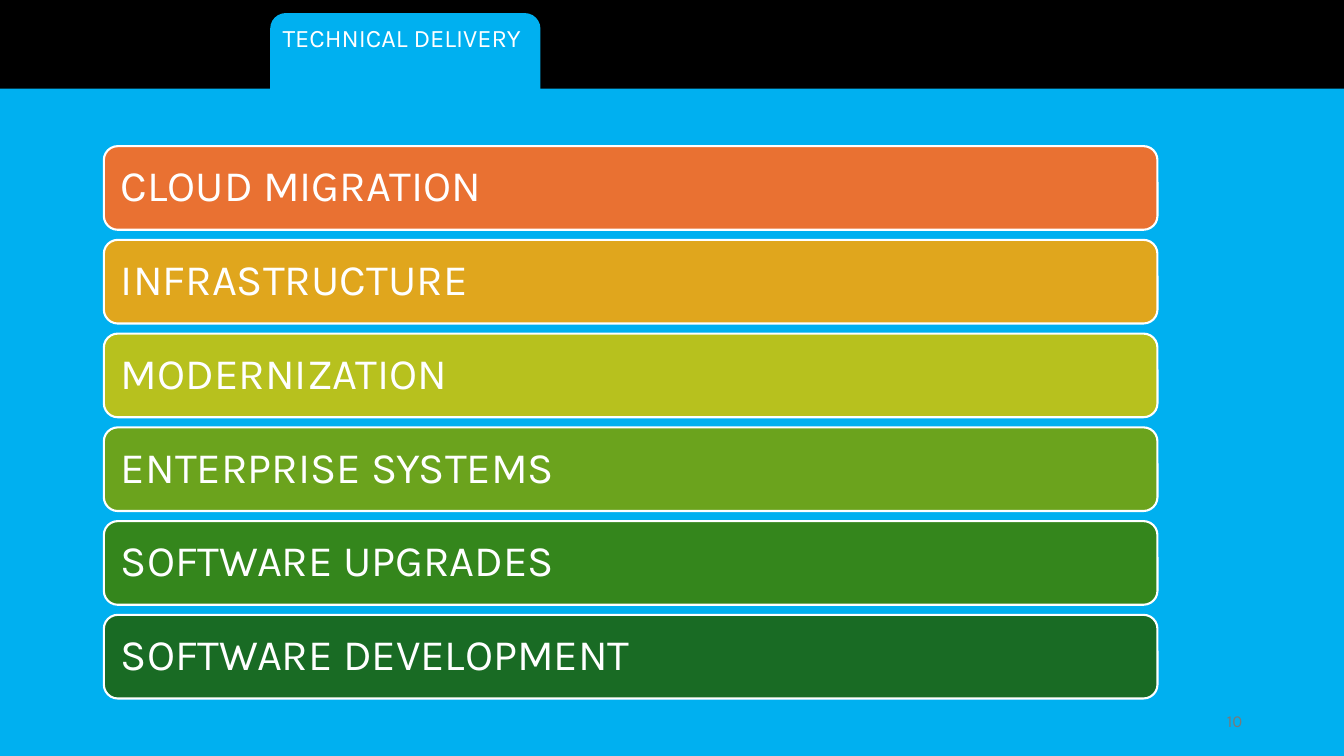
"""Build the technical delivery slide with its tab and six service bars."""
import dataclasses
import typing

import pptx
import pptx.dml.color
import pptx.enum.shapes
import pptx.enum.text
import pptx.util

PX = 9144
SHAPE = pptx.enum.shapes.MSO_SHAPE
ALIGN = pptx.enum.text.PP_ALIGN
ANCHOR = pptx.enum.text.MSO_ANCHOR


@dataclasses.dataclass(frozen=True)
class Theme:
    font: str = "Karla"
    background: str = "000000"
    panel: str = "00B0F0"
    light: str = "FFFFFF"
    muted: str = "797979"
    title_size: int = 18
    bar_size: int = 31
    number_size: int = 12
    outline: float = 1.5


class Box(typing.NamedTuple):
    left: int
    top: int
    width: int
    height: int

    def emu(self) -> list[int]:
        return [v * PX for v in self]


class Bar(typing.NamedTuple):
    label: str
    color: str


THEME = Theme()
TAB = Box(268, 13, 268, 92)
PANEL = Box(0, 88, 1333, 662)
TITLE = Box(268, 17, 261, 71)
NUMBER = Box(942, 695, 300, 40)
FIRST_BAR = Box(103, 145, 1045, 83)
BAR_STEP = 93
BAR_INSET = 13
BARS = [
    Bar("CLOUD MIGRATION", "E97132"),
    Bar("INFRASTRUCTURE", "E0A61D"),
    Bar("MODERNIZATION", "B7C11E"),
    Bar("ENTERPRISE SYSTEMS", "6BA31D"),
    Bar("SOFTWARE UPGRADES", "34861C"),
    Bar("SOFTWARE DEVELOPMENT", "196B24"),
]


def rgb(color: str) -> pptx.dml.color.RGBColor:
    return pptx.dml.color.RGBColor.from_string(color)


def write(sp, text: str, *, size: int, color: str = THEME.light, align=ALIGN.LEFT,
          anchor=ANCHOR.MIDDLE, inset: tuple[int, int] = (10, 5), spacing: float = 1.0) -> None:
    tf = sp.text_frame
    tf.word_wrap = True
    tf.auto_size = pptx.enum.text.MSO_AUTO_SIZE.NONE
    tf.vertical_anchor = anchor
    tf.margin_left = tf.margin_right = inset[0] * PX
    tf.margin_top = tf.margin_bottom = inset[1] * PX
    p = tf.paragraphs[0]
    p.alignment = align
    p.line_spacing = spacing
    r = p.add_run()
    r.text = text
    r.font.name = THEME.font
    r.font.size = pptx.util.Pt(size)
    r.font.color.rgb = rgb(color)


def add_block(s, kind, box: Box, color: str, outline: str | None = None):
    sp = s.shapes.add_shape(kind, *box.emu())
    sp.shadow.inherit = False
    sp.fill.solid()
    sp.fill.fore_color.rgb = rgb(color)
    if outline:
        sp.line.color.rgb = rgb(outline)
        sp.line.width = pptx.util.Pt(THEME.outline)
    else:
        sp.line.fill.background()
    return sp


def add_title(s, text: str, box: Box) -> None:
    sp = s.shapes.title
    sp.left, sp.top, sp.width, sp.height = box.emu()
    write(sp, text, size=THEME.title_size, align=ALIGN.CENTER, anchor=ANCHOR.TOP)


def add_bar(s, bar: Bar, row: int) -> None:
    box = FIRST_BAR._replace(top=FIRST_BAR.top + row * BAR_STEP)
    sp = add_block(s, SHAPE.ROUNDED_RECTANGLE, box, bar.color, THEME.light)
    write(sp, bar.label, size=THEME.bar_size, inset=(BAR_INSET, BAR_INSET), spacing=0.9)


def main() -> None:
    prs = pptx.Presentation()
    prs.slide_width, prs.slide_height = 1333 * PX, 750 * PX
    s = prs.slides.add_slide(prs.slide_layouts.get_by_name("Title Only"))
    s.background.fill.solid()
    s.background.fill.fore_color.rgb = rgb(THEME.background)

    add_block(s, SHAPE.ROUNDED_RECTANGLE, TAB, THEME.panel)
    panel = add_block(s, SHAPE.RECTANGLE, PANEL, THEME.panel)
    add_title(s, "TECHNICAL DELIVERY", TITLE)
    panel.element.addnext(s.shapes.title.element)

    for row, bar in enumerate(BARS):
        add_bar(s, bar, row)

    number = s.shapes.add_textbox(*NUMBER.emu())
    write(number, "10", size=THEME.number_size, color=THEME.muted, align=ALIGN.RIGHT)
    prs.save("out.pptx")


if __name__ == "__main__":
    main()
